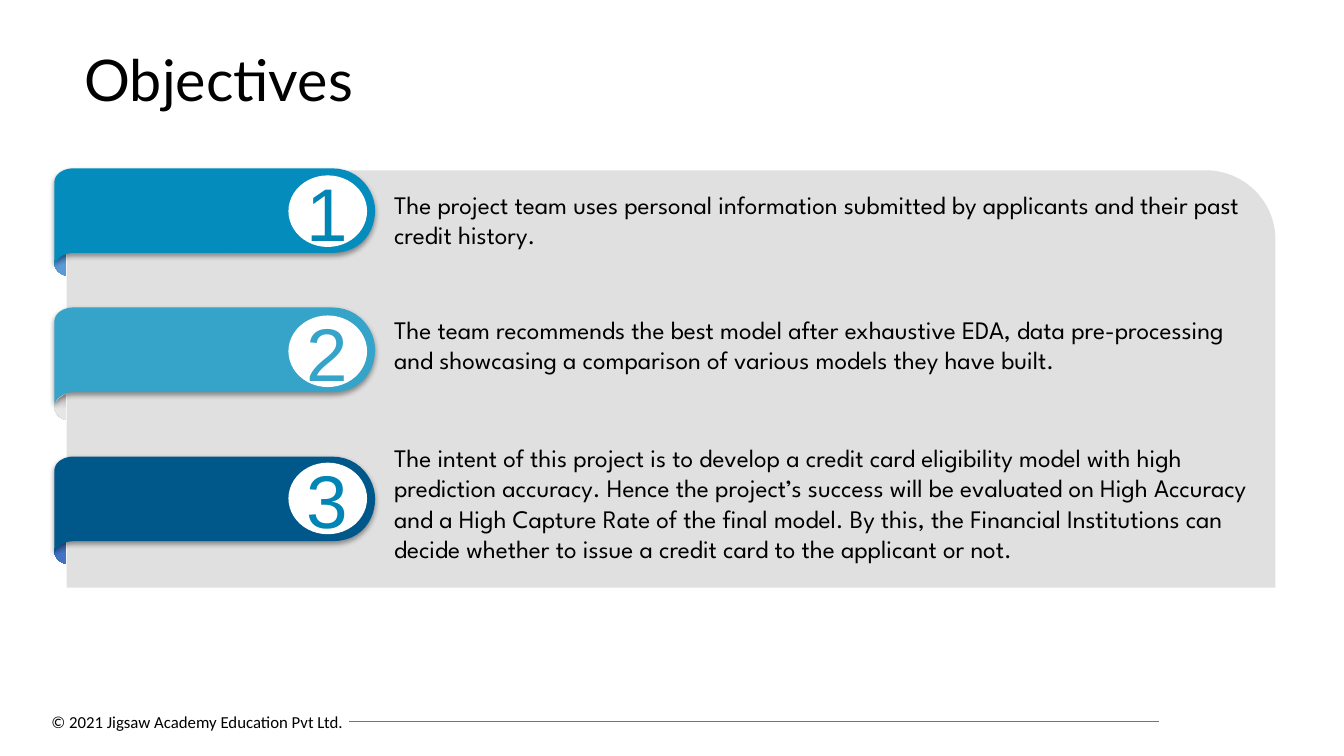
import pptx
import pptx.util
import pptx.dml.color
import pptx.enum.shapes
import pptx.enum.text
import pptx.oxml
import pptx.oxml.ns
import lxml.etree

COLOURS = {
    "ink": "000000", "paper": "FFFFFF", "panel": "E0E0E0", "rule": "00A0CC",
    "cerulean": "048CBC", "sky": "36A3C9", "navy": "00588A", "digit": "0085B4",
    "blue_dark": "2E75B6", "blue": "5B9BD5",
    "grey_dark": "AFABAB", "grey": "E7E6E6",
    "indigo_dark": "2F5597", "indigo": "4472C4",
}
BANNER_LEFT = 4.05
BANNER_OUTLINE = [
    [(20.63, 11.2)],
    [(1.43, 11.2)],
    [(0.9, 11.2), (0.23, 11.6), (0, 12.8)],
    [(0, 1.73)],
    [(0.08, 0.53), (0.83, 0), (1.43, 0)],
    [(20.63, 0)],
    [(22.73, 0), (23.86, 3.07), (23.86, 5.6)],
    [(23.86, 8.13), (22.96, 11.2), (20.63, 11.2)],
]
CURL_OUTLINE = [
    [(0.86, 3.4)],
    [(0.86, 0)],
    [(0.3, 0.67), (0, 1.07), (0, 1.73)],
    [(0, 2.53), (0.38, 3.2), (0.86, 3.4)],
]
OBJECTIVES = [
    dict(banner=22.27, curl=33.07, circle=23.2, fill="cerulean", digit="digit",
         fold=("blue_dark", "blue"), top=24.4, height=9.47,
         wording="The project team uses personal information submitted by applicants "
                 "and their past credit history."),
    dict(banner=40.67, curl=52.13, circle=41.73, fill="sky", digit="sky",
         fold=("grey_dark", "grey"), top=40.93, height=9.47,
         wording="The team recommends the best model after exhaustive EDA, data "
                 "pre-processing and showcasing a comparison of various models they "
                 "have built."),
    dict(banner=60.4, curl=71.2, circle=61.2, fill="navy", digit="digit",
         fold=("indigo_dark", "indigo"), top=57.87, height=17.47,
         wording="The intent of this project is to develop a credit card eligibility "
                 "model with high prediction accuracy. Hence the project’s success will "
                 "be evaluated on High Accuracy and a High Capture Rate of the final "
                 "model. By this, the Financial Institutions can decide whether to "
                 "issue a credit card to the applicant or not."),
]


def flatten(outline, steps=12):
    points = [outline[0][0]]
    for segment in outline[1:]:
        if len(segment) == 1:
            points += segment
            continue
        a, (b, c, d) = points[-1], segment
        for step in range(1, steps + 1):
            t = step / steps
            u = 1 - t
            points.append(tuple(
                u**3 * a[i] + 3 * u * u * t * b[i] + 3 * u * t * t * c[i] + t**3 * d[i]
                for i in (0, 1)))
    return points


class Slide:
    """Draws styled elements on one slide, with places in percent of its size."""

    def __init__(self, deck):
        self.width, self.height = deck.slide_width, deck.slide_height
        self.shapes = deck.slides.add_slide(deck.slide_layouts[6]).shapes

    def place(self, *percents):
        sides = (self.width, self.height)
        return [round(sides[i % 2] * p / 100) for i, p in enumerate(percents)]

    def colour(self, name):
        return pptx.dml.color.RGBColor.from_string(COLOURS[name])

    def paint(self, shape, fill):
        shape.shadow.inherit = False
        shape.line.fill.background()
        shape.fill.solid()
        shape.fill.fore_color.rgb = self.colour(fill)
        return shape

    def preset(self, kind, box, fill):
        return self.paint(self.shapes.add_shape(kind, *self.place(*box)), fill)

    def outline(self, outline, left, top, fill):
        points = [self.place(left + x, top + y) for x, y in flatten(outline)]
        builder = self.shapes.build_freeform(*points[0])
        builder.add_line_segments(points[1:], close=True)
        return self.paint(builder.convert_to_shape(), fill)

    def curl(self, top, fold):
        curl = self.outline(CURL_OUTLINE, BANNER_LEFT, top, fold[1])
        curl.fill.gradient()
        curl.fill.gradient_angle = 270
        for stop, position, name in zip(curl.fill.gradient_stops, (0, 0.6), fold):
            stop.position = position
            stop.color.rgb = self.colour(name)

    def banner(self, top, fill):
        banner = self.outline(BANNER_OUTLINE, BANNER_LEFT, top, fill)
        effects = banner._element.spPr.find(pptx.oxml.ns.qn("a:effectLst"))
        effects.append(pptx.oxml.parse_xml(
            f'<a:outerShdw {pptx.oxml.ns.nsdecls("a")} blurRad="50800" dist="25400" '
            f'dir="5400000" rotWithShape="0"><a:srgbClr val="{COLOURS["ink"]}">'
            '<a:alpha val="40000"/></a:srgbClr></a:outerShdw>'))

    def letter(self, shape, wording, size, font, colour="ink", middle=False,
               insets=(0.1, 0.05), wrap=True):
        frame = shape.text_frame
        frame.text = wording
        frame.word_wrap = wrap
        anchors = pptx.enum.text.MSO_ANCHOR
        frame.vertical_anchor = anchors.MIDDLE if middle else anchors.TOP
        frame.margin_left = frame.margin_right = pptx.util.Inches(insets[0])
        frame.margin_top = frame.margin_bottom = pptx.util.Inches(insets[1])
        paragraph = frame.paragraphs[0]
        style = paragraph.runs[0].font
        style.size, style.name = pptx.util.Pt(size), font
        style.color.rgb = self.colour(colour)
        return paragraph

    def text(self, box, wording, size, font, **options):
        textbox = self.shapes.add_textbox(*self.place(*box))
        return self.letter(textbox, wording, size, font, **options)

    def number(self, top, digit, colour):
        circle = self.preset(pptx.enum.shapes.MSO_SHAPE.OVAL,
                             (21.46, top, 5.85, 9.47), "paper")
        numeral = self.letter(circle, digit, 53.3, "Arial", colour=colour, middle=True,
                              insets=(0.13, 0.07), wrap=False)
        numeral.alignment = pptx.enum.text.PP_ALIGN.CENTER

    def rule(self, start, end, colour, weight):
        rule = self.shapes.add_connector(pptx.enum.shapes.MSO_CONNECTOR.STRAIGHT,
                                         *self.place(*start, *end))
        rule.line.color.rgb = self.colour(colour)
        rule.line.width = pptx.util.Pt(weight)
        lxml.etree.SubElement(rule._element.spPr, pptx.oxml.ns.qn("a:effectLst"))


def main():
    deck = pptx.Presentation()
    deck.slide_width = pptx.util.Inches(13.33)
    deck.slide_height = pptx.util.Inches(7.5)
    slide = Slide(deck)

    slide.rule((25.96, 95.47), (86.2, 95.47), "rule", 0.75)
    slide.text((3.08, 93.47, 23.48, 4), "© 2021 Jigsaw Academy Education Pvt Ltd.",
               12, "Calibri")
    slide.preset(pptx.enum.shapes.MSO_SHAPE.ROUND_1_RECTANGLE,
                 (4.95, 22.53, 89.95, 55.2), "panel")
    for objective in OBJECTIVES:
        slide.curl(objective["curl"], objective["fold"])
    for rank, objective in enumerate(OBJECTIVES, 1):
        slide.banner(objective["banner"], objective["fill"])
        slide.number(objective["circle"], str(rank), objective["digit"])
    for objective in OBJECTIVES:
        slide.text((28.58, objective["top"], 66.32, objective["height"]),
                   objective["wording"], 18, "League Spartan")
    title = slide.text((5.55, 6.8, 87.55, 8.93), "Objectives", 41, "Lato", middle=True)
    title.line_spacing = 0.8

    deck.save("out.pptx")


if __name__ == "__main__":
    main()
